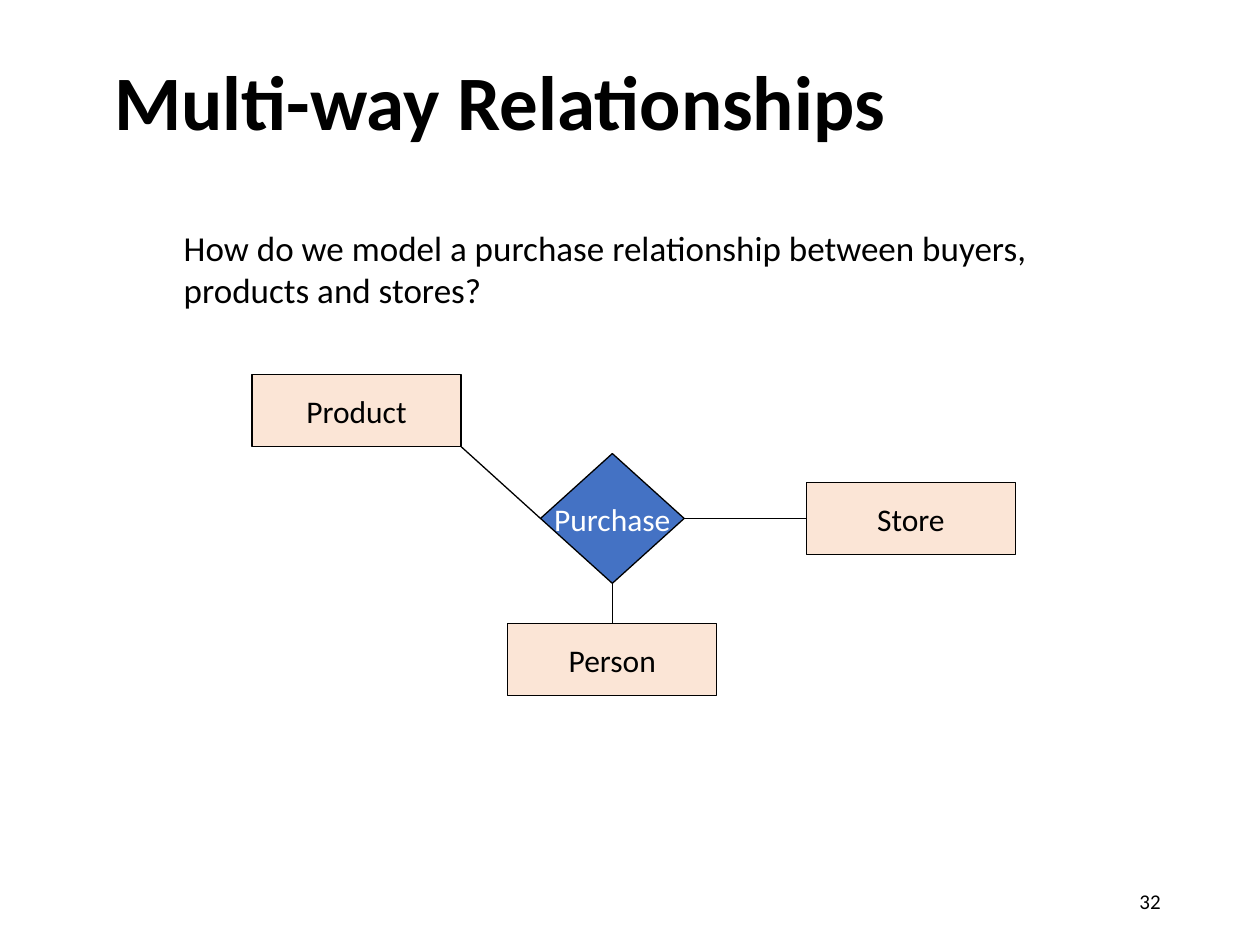
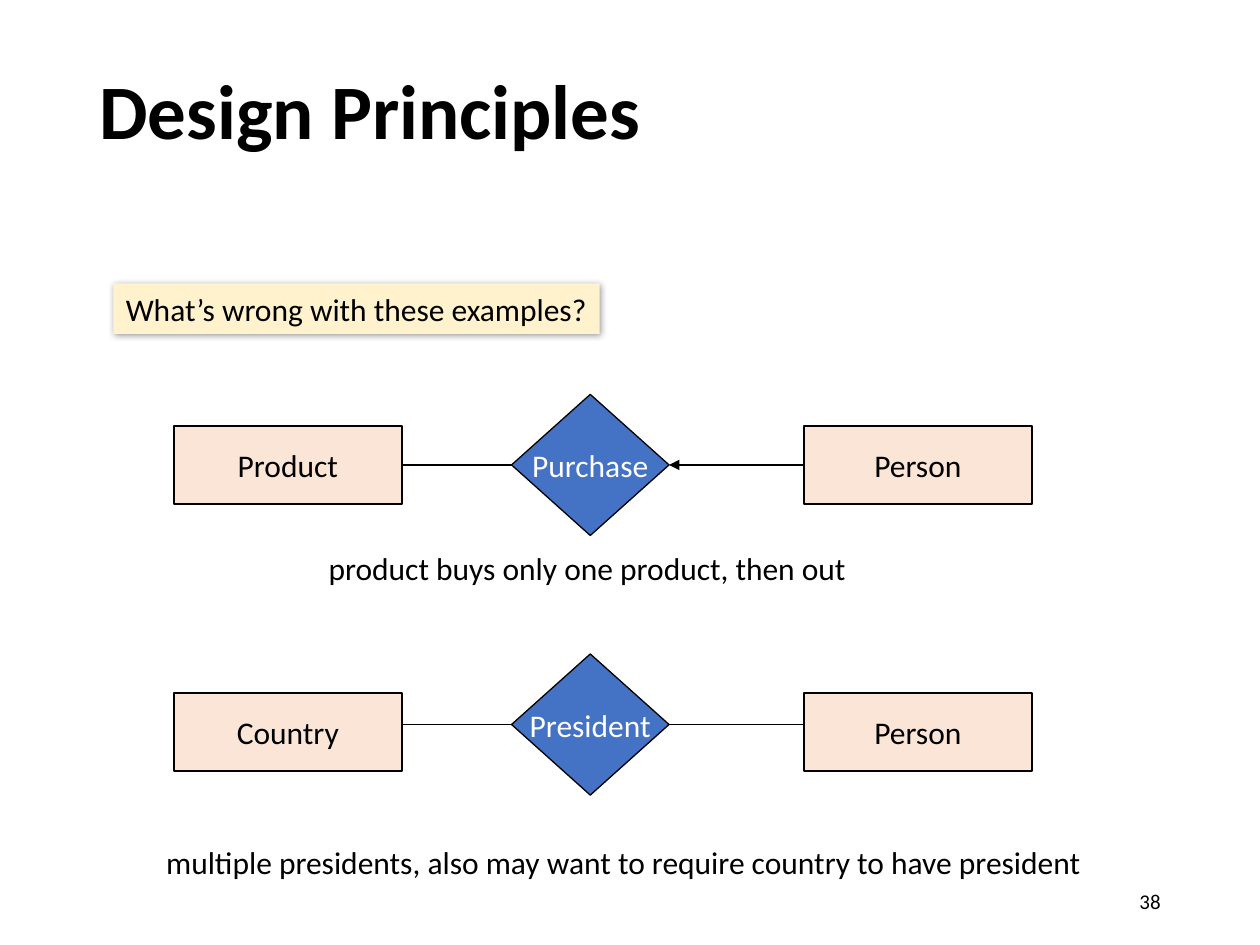
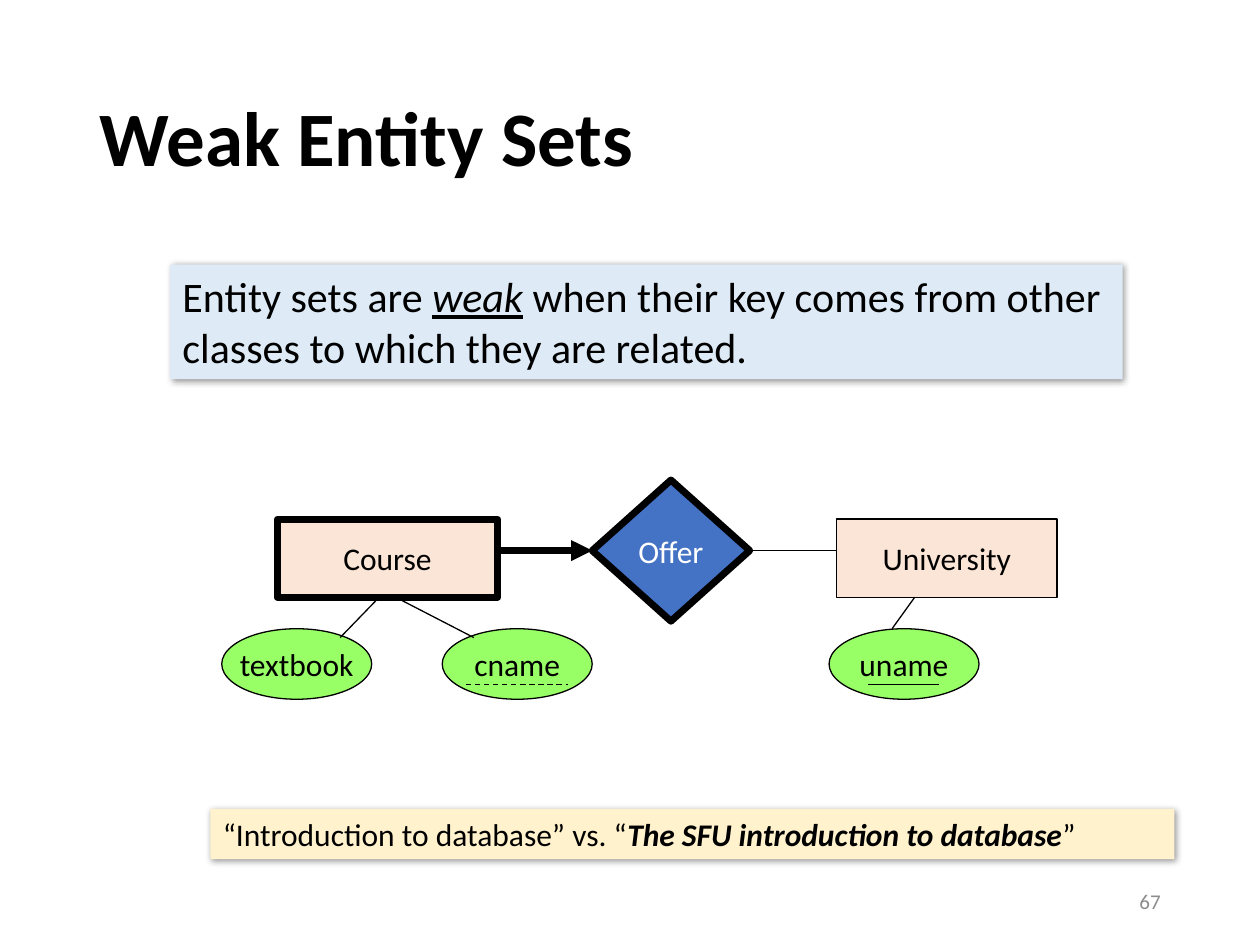
from typing import NamedTuple

from pptx import Presentation
from pptx.dml.color import RGBColor
from pptx.enum.dml import MSO_LINE
from pptx.enum.shapes import MSO_CONNECTOR, MSO_SHAPE
from pptx.enum.text import MSO_ANCHOR, PP_ALIGN
from pptx.oxml.ns import qn
from pptx.util import Inches, Pt
from lxml.etree import SubElement

SLIDE_WIDTH, SLIDE_HEIGHT = Inches(10), Inches(7.5)
COLUMNS, ROWS = 100, 75

BLACK = RGBColor(0x00, 0x00, 0x00)
WHITE = RGBColor(0xFF, 0xFF, 0xFF)
GRAY = RGBColor(0x8C, 0x8C, 0x8C)
BLUE = RGBColor(0x44, 0x72, 0xC4)
PEACH = RGBColor(0xFB, 0xE5, 0xD6)
GREEN = RGBColor(0x99, 0xFF, 0x66)
CREAM = RGBColor(0xFF, 0xF2, 0xCC)
PALE_BLUE = RGBColor(0xDE, 0xEB, 0xF7)

FONT = "Calibri"
TITLE_SIZE, BODY_SIZE, NUMBER_SIZE = 44, 18, 12
THIN, THICK = 0.75, 4
TOP, LEFT, BOTTOM, RIGHT = range(4)


class Run(NamedTuple):
    text: str
    bold: bool = False
    italic: bool = False
    underline: bool = False


class Joint(NamedTuple):
    """The middle of one side of a shape."""
    shape: object
    side: int


def column(number):
    return round(SLIDE_WIDTH * number / COLUMNS)


def row(number):
    return round(SLIDE_HEIGHT * number / ROWS)


def place(left, top, width, height):
    return column(left), row(top), column(width), row(height)


def write(shape, paragraphs, size=BODY_SIZE, color=BLACK, align=PP_ALIGN.LEFT,
          anchor=MSO_ANCHOR.TOP, wrap=False, line_spacing=None):
    """Fill a shape with paragraphs, each a list of runs."""
    frame = shape.text_frame
    frame.word_wrap = wrap
    frame.vertical_anchor = anchor
    for index, runs in enumerate(paragraphs):
        paragraph = frame.add_paragraph() if index else frame.paragraphs[0]
        paragraph.alignment = align
        paragraph.line_spacing = line_spacing
        for part in runs:
            run = paragraph.add_run()
            run.text = part.text
            font = run.font
            font.name, font.size = FONT, Pt(size)
            font.bold, font.italic, font.underline = part.bold, part.italic, part.underline
            font.color.rgb = color


def add_text(slide, box, lines, **style):
    text_box = slide.shapes.add_textbox(*place(*box))
    write(text_box, [[Run(line)] for line in lines], **style)


def add_slide(presentation, title, title_box, number, number_color=BLACK):
    """Add a blank slide with its title and page number."""
    slide = presentation.slides.add_slide(presentation.slide_layouts[6])
    title_shape = slide.shapes.add_textbox(*place(*title_box))
    write(title_shape, [[Run(title, bold=True)]], size=TITLE_SIZE,
          anchor=MSO_ANCHOR.MIDDLE, wrap=True, line_spacing=0.9)
    add_text(slide, (70.6, 69.5, 22.5, 4), [str(number)], size=NUMBER_SIZE,
             color=number_color, align=PP_ALIGN.RIGHT, anchor=MSO_ANCHOR.MIDDLE, wrap=True)
    return slide


def add_node(slide, kind, box, label, fill, color=BLACK, weight=THIN):
    node = slide.shapes.add_shape(kind, *place(*box))
    node.shadow.inherit = False
    node.fill.solid()
    node.fill.fore_color.rgb = fill
    node.line.color.rgb = BLACK
    node.line.width = Pt(weight)
    write(node, [[Run(label)]], color=color, align=PP_ALIGN.CENTER, anchor=MSO_ANCHOR.MIDDLE)
    return node


def add_entity(slide, box, label, weight=THIN):
    return add_node(slide, MSO_SHAPE.RECTANGLE, box, label, PEACH, weight=weight)


def add_relationship(slide, box, label, weight=THIN):
    return add_node(slide, MSO_SHAPE.DIAMOND, box, label, BLUE, WHITE, weight)


def add_attribute(slide, left, label):
    return add_node(slide, MSO_SHAPE.OVAL, (left, 49.9, 11.9, 5.6), label, GREEN)


def add_callout(slide, box, paragraphs, fill, size=BODY_SIZE, wrap=False):
    """Add a filled note with a soft shadow."""
    callout = slide.shapes.add_shape(MSO_SHAPE.RECTANGLE, *place(*box))
    callout.fill.solid()
    callout.fill.fore_color.rgb = fill
    callout.line.fill.background()
    callout.shadow.inherit = False
    effects = callout.element.spPr.find(qn("a:effectLst"))
    shadow = SubElement(effects, qn("a:outerShdw"), blurRad=str(Pt(4)), dist=str(Pt(1)),
                        dir="2700000", algn="tl", rotWithShape="0")
    shadow_color = SubElement(shadow, qn("a:srgbClr"), val=str(BLACK))
    SubElement(shadow_color, qn("a:alpha"), val="40000")
    write(callout, paragraphs, size=size, wrap=wrap)


def add_link(slide, begin, end, weight=THIN, arrow=False, dashed=False):
    """Draw a line between joints or (column, row) points; an arrowhead sits at begin."""
    link = slide.shapes.add_connector(MSO_CONNECTOR.STRAIGHT, 0, 0, 0, 0)
    if isinstance(begin, Joint):
        link.begin_connect(*begin)
    else:
        link.begin_x, link.begin_y = column(begin[0]), row(begin[1])
    if isinstance(end, Joint):
        link.end_connect(*end)
    else:
        link.end_x, link.end_y = column(end[0]), row(end[1])
    link.line.color.rgb = BLACK
    link.line.width = Pt(weight)
    if dashed:
        link.line.dash_style = MSO_LINE.DASH
    properties = link.element.spPr
    if arrow:
        SubElement(properties.find(qn("a:ln")), qn("a:headEnd"), type="triangle")
    SubElement(properties, qn("a:effectLst"))


def build_multiway_slide(presentation):
    slide = add_slide(presentation, "Multi-way Relationships", (8.1, 3.7, 85, 9.4), 32)
    add_text(slide, (13.6, 17.5, 69.5, 7.7),
             ["How do we model a purchase relationship between buyers,",
              "products and stores?"], size=20)
    purchase = add_relationship(slide, (42.9, 36, 11.4, 10.3), "Purchase")
    width, height = 16.6, 5.7
    product_left, product_top = 20, 29.75
    add_entity(slide, (product_left, product_top, width, height), "Product")
    person = add_entity(slide, (40.3, 49.5, width, height), "Person")
    store = add_entity(slide, (64, 38.3, width, height), "Store")
    add_link(slide, Joint(purchase, RIGHT), Joint(store, LEFT))
    add_link(slide, Joint(purchase, BOTTOM), Joint(person, TOP))
    add_link(slide, (product_left + width, product_top + height), Joint(purchase, LEFT))


def build_principles_slide(presentation):
    slide = add_slide(presentation, "Design Principles", (6.9, 4.4, 63.8, 9.4), 38)
    add_callout(slide, (9, 22.5, 38.6, 4), [[Run("What’s wrong with these examples?")]], CREAM)

    left, right, width, height = 13.8, 63.8, 18.1, 6.2
    diamond_left, diamond_width, diamond_height = 40.6, 12.5, 11.2

    purchase = add_relationship(
        slide, (diamond_left, 31.3, diamond_width, diamond_height), "Purchase")
    product = add_entity(slide, (left, 33.8, width, height), "Product")
    buyer = add_entity(slide, (right, 33.8, width, height), "Person")
    add_link(slide, Joint(purchase, LEFT), Joint(product, RIGHT))
    add_link(slide, Joint(purchase, RIGHT), Joint(buyer, LEFT), arrow=True)

    president_top = 51.9
    link_row = president_top + diamond_height / 2
    president = add_relationship(
        slide, (diamond_left, president_top, diamond_width, diamond_height), "President")
    add_entity(slide, (left, 55, width, height), "Country")
    add_entity(slide, (right, 55, width, height), "Person")
    add_link(slide, Joint(president, LEFT), (left + width, link_row))
    add_link(slide, Joint(president, RIGHT), (right, link_row))

    add_text(slide, (25.1, 43.1, 43.6, 4), ["product buys only one product, then out"])
    add_text(slide, (12.2, 66.4, 75.5, 4),
             ["multiple presidents, also may want to require country to have president"])


def build_weak_entity_slide(presentation):
    slide = add_slide(presentation, "Weak Entity Sets", (6.9, 4, 86.2, 14.5), 67, GRAY)
    add_callout(slide, (13.5, 21, 75.6, 9.1),
                [[Run("Entity sets are "), Run("weak", italic=True, underline=True),
                  Run(" when their key comes from other")],
                 [Run("classes to which they are related.")]], PALE_BLUE, size=24)
    add_callout(slide, (16.7, 64.2, 76.5, 4),
                [[Run("“Introduction to database” vs. “"),
                  Run("The SFU introduction to database", bold=True, italic=True),
                  Run("”")]], CREAM, wrap=True)

    course_left, university_left, top, width, height = 22, 66.4, 41.2, 17.5, 6.2
    offer_top, offer_height = 38.1, 11.2
    link_row = offer_top + offer_height / 2
    add_entity(slide, (university_left, top, width, height), "University")
    add_entity(slide, (course_left, top, width, height), "Course", THICK)
    offer = add_relationship(slide, (47, offer_top, 12.5, offer_height), "Offer", THICK)
    add_link(slide, Joint(offer, LEFT), (course_left + width, link_row), THICK, arrow=True)
    add_link(slide, Joint(offer, RIGHT), (university_left, link_row))

    add_attribute(slide, 17.6, "textbook")
    add_attribute(slide, 35.1, "cname")
    uname = add_attribute(slide, 65.8, "uname")
    entity_bottom = top + height
    add_link(slide, (30.1, entity_bottom), (27, 50.6))
    add_link(slide, (31.4, entity_bottom), (37.6, 50.6))
    add_link(slide, (72.6, entity_bottom), (70.8, 49.9))

    key_row = 54.3
    add_link(slide, (68.9, key_row), (74.5, key_row))
    add_link(slide, (37, key_row), (45.1, key_row), dashed=True)


def main():
    presentation = Presentation()
    presentation.slide_width, presentation.slide_height = SLIDE_WIDTH, SLIDE_HEIGHT
    build_multiway_slide(presentation)
    build_principles_slide(presentation)
    build_weak_entity_slide(presentation)
    presentation.save("out.pptx")


if __name__ == "__main__":
    main()
